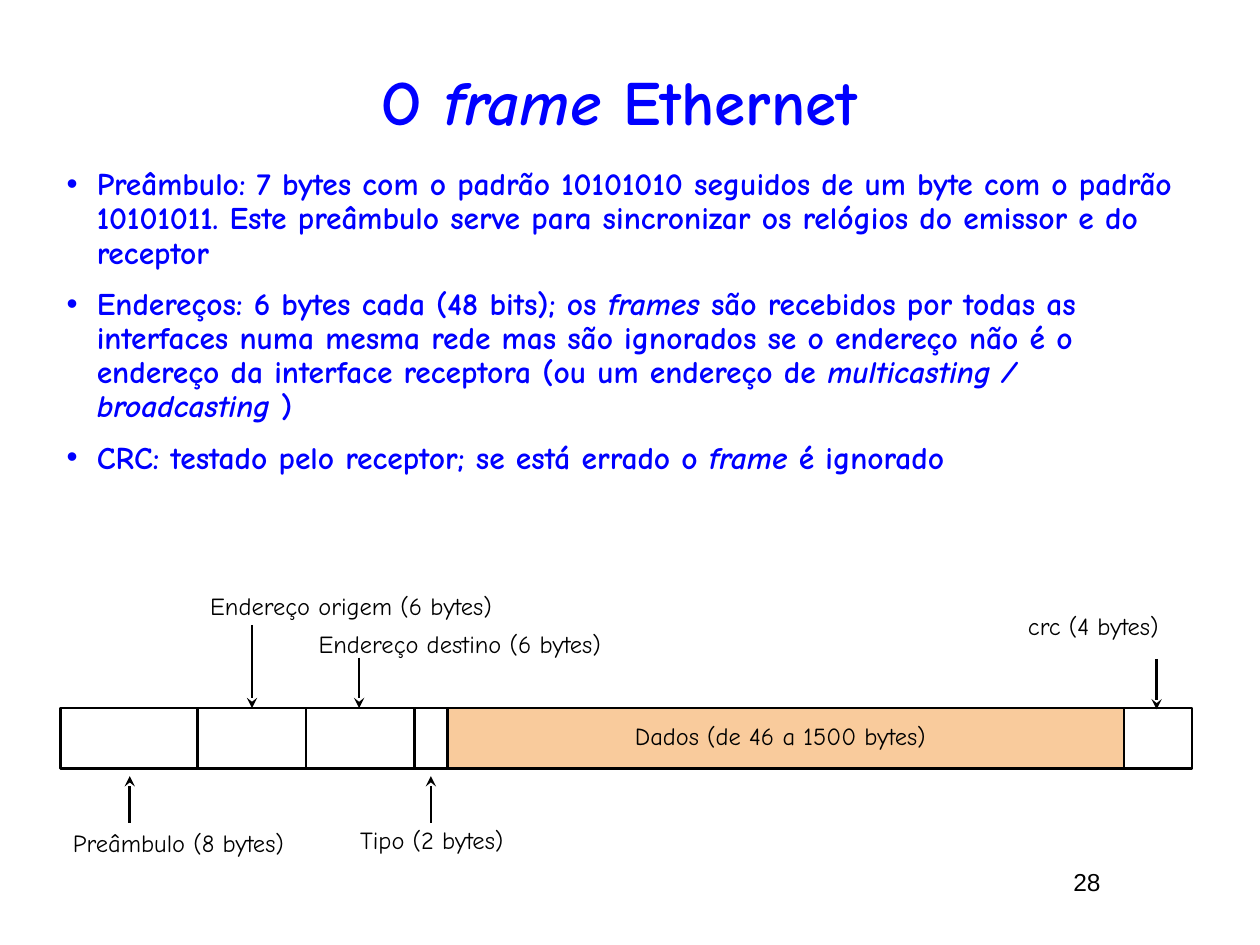
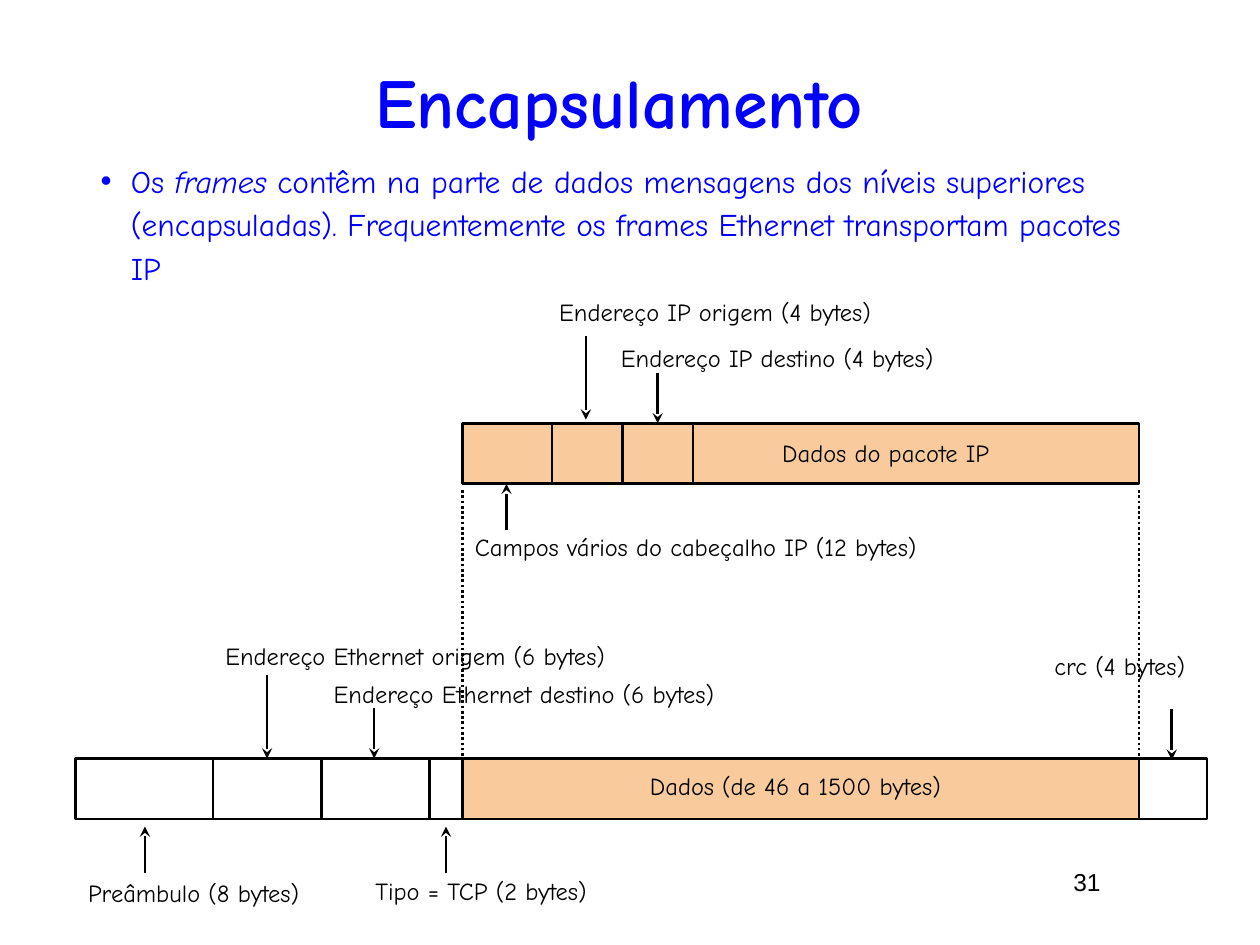
from itertools import accumulate

from lxml import etree
from pptx import Presentation
from pptx.dml.color import RGBColor
from pptx.enum.dml import MSO_LINE
from pptx.enum.shapes import MSO_CONNECTOR, MSO_SHAPE
from pptx.enum.text import MSO_ANCHOR, PP_ALIGN
from pptx.oxml.ns import qn
from pptx.util import Inches, Pt

BLUE = RGBColor(0x00, 0x00, 0xFF)
BLACK = RGBColor(0x00, 0x00, 0x00)
PEACH = RGBColor(0xF9, 0xCB, 0x9C)
RECT, LINE = MSO_SHAPE.RECTANGLE, MSO_CONNECTOR.STRAIGHT
DOT = MSO_LINE.ROUND_DOT
TOP, MID = MSO_ANCHOR.TOP, MSO_ANCHOR.MIDDLE
LEFT, MIDDLE = PP_ALIGN.LEFT, PP_ALIGN.CENTER
FONT, PLAIN = "Comic Neue", "Arial"
PEN = Pt(1.5)
CELL = 0.48  # height of fields and labels

# Field widths of the two packet bars
FRAME = [1.09, 0.86, 0.86, 0.26, 5.37, 0.54]
PACKET = [0.71, 0.56, 0.56, 3.54]
DATA = 4  # index of the data field in the frame


def bullet(par):
    """Hanging bullet in the colour of the text."""
    props = par._p.get_or_add_pPr()
    props.set("marL", str(Inches(0.24)))
    props.set("indent", str(-Inches(0.24)))
    tint = etree.SubElement(props, qn("a:buClr"))
    etree.SubElement(tint, qn("a:srgbClr")).set("val", str(BLUE))
    etree.SubElement(props, qn("a:buFont")).set("typeface", PLAIN)
    etree.SubElement(props, qn("a:buChar")).set("char", "•")


def write(slide, box, *texts, size=14, color=BLACK, font=FONT, bold=False,
          align=LEFT, anchor=TOP, pad=0.05, space=None, gap=0, dots=False):
    """Text box with one paragraph per text; *stars* mark italics."""
    frame = slide.shapes.add_textbox(*map(Inches, box)).text_frame
    frame.word_wrap = True
    frame.vertical_anchor = anchor
    frame.margin_left = frame.margin_right = Inches(0.1)
    frame.margin_top = frame.margin_bottom = Inches(pad)
    for num, text in enumerate(texts):
        par = frame.add_paragraph() if num else frame.paragraphs[0]
        par.alignment = align
        if space:
            par.line_spacing = space
        if num:
            par.space_before = Pt(gap)
        if dots:
            bullet(par)
        for part, words in enumerate(text.split("*")):
            if words:
                run = par.add_run()
                run.text = words
                face = run.font
                face.name, face.size, face.bold = font, Pt(size), bold
                face.italic = part % 2 == 1
                face.color.rgb = color


def label(slide, x, y, width, text):
    write(slide, (x, y, width, CELL), text, pad=0.1)


def link(slide, x, start, end, arrow=True):
    """Upright line: an arrow, or a dotted guide."""
    line = slide.shapes.add_connector(
        LINE, Inches(x), Inches(start), Inches(x), Inches(end))
    line.line.color.rgb = BLACK
    line.line.width = PEN
    if arrow:
        tail = etree.SubElement(line.line._get_or_add_ln(), qn("a:tailEnd"))
        tail.set("type", "stealth")
    else:
        line.line.dash_style = DOT
    etree.SubElement(line._element.spPr, qn("a:effectLst"))


def bar(slide, x, y, widths, filled):
    """Row of adjoining fields; those listed in filled are peach."""
    lefts = accumulate(widths, initial=x)
    for num, (left, width) in enumerate(zip(lefts, widths)):
        field = slide.shapes.add_shape(
            RECT, *map(Inches, (left, y, width, CELL)))
        field.shadow.inherit = False
        field.line.color.rgb = BLACK
        field.line.width = PEN
        if num in filled:
            field.fill.solid()
            field.fill.fore_color.rgb = PEACH
        else:
            field.fill.background()


def header(slide, text, number, size):
    """Title and page number."""
    write(slide, (0.33, 0.42, 9.17, 0.75), text, size=size, color=BLUE,
          bold=True, align=MIDDLE, anchor=MID)
    write(slide, (8.42, 6.83, 1, 0.42), number, font=PLAIN)


def ether(slide, x, y, kind, net="", crc=(7.58, -0.87)):
    """Ethernet frame with its labels and arrows."""
    bar(slide, x, y, FRAME, [DATA])
    notes = [
        (1.09, -1.03, 3.96, f"Endereço {net}origem (6 bytes)"),
        (1.95, -0.73, 3.86, f"Endereço {net}destino (6 bytes)"),
        (4.46, 0, 2.81, "Dados (de 46 a 1500 bytes)"),
        (2.28, 0.83, 2.25, f"{kind} (2 bytes)"),
        (0, 0.85, 2.15, "Preâmbulo (8 bytes)"),
        (*crc, 1.51, "crc (4 bytes)"),
    ]
    for dx, dy, width, text in notes:
        label(slide, x + dx, y + dy, width, text)
    for dx, start, end in [(0.55, 0.91, 0.54), (2.94, 0.91, 0.54),
                           (1.52, -0.66, 0), (2.37, -0.4, 0),
                           (8.7, -0.39, 0.01)]:
        link(slide, x + dx, y + start, y + end)


def packet(slide, x, y):
    """IP packet with its labels and arrows."""
    bar(slide, x, y, PACKET, range(len(PACKET)))
    notes = [
        (0.67, -1.1, 3.96, "Endereço IP origem (4 bytes)"),
        (1.16, -0.74, 3.86, "Endereço IP destino (4 bytes)"),
        (2.44, 0.02, 2.25, "Dados do pacote IP"),
        (0, 0.76, 4.59, "Campos vários do cabeçalho IP (12 bytes)"),
    ]
    for dx, dy, width, text in notes:
        label(slide, x + dx, y + dy, width, text)
    for dx, start, end in [(0.98, -0.69, -0.03), (1.55, -0.4, 0),
                           (0.35, 0.85, 0.48)]:
        link(slide, x + dx, y + start, y + end)


def fields(slide):
    """Slide on the fields of the frame."""
    header(slide, "O *frame* Ethernet", "28", 36)
    write(slide, (0.43, 1.29, 9.13, 2.76),
          "Preâmbulo: 7 bytes com o padrão 10101010 seguidos de um byte com "
          "o padrão 10101011. Este preâmbulo serve para sincronizar os "
          "relógios do emissor e do receptor",
          "Endereços: 6 bytes cada (48 bits); os *frames* são recebidos por "
          "todas as interfaces numa mesma rede mas são ignorados se o "
          "endereço não é o endereço da interface receptora (ou um endereço "
          "de *multicasting / broadcasting* )",
          "CRC: testado pelo receptor; se está errado o *frame* é ignorado",
          size=18, color=BLUE, bold=True, space=0.9, gap=10, dots=True)
    ether(slide, 0.48, 5.62, "Tipo")


def nesting(slide):
    """Slide on a packet carried inside a frame."""
    header(slide, "Encapsulamento", "31", 40)
    write(slide, (0.7, 1.19, 8.43, 2.7),
          "Os *frames* contêm na parte de dados mensagens dos níveis "
          "superiores (encapsuladas). Frequentemente os frames Ethernet "
          "transportam pacotes IP",
          size=18, color=BLUE, space=1.15, dots=True)
    x, y, top = 0.6, 6.02, 3.36
    inner = x + sum(FRAME[:DATA])
    ether(slide, x, y, "Tipo = TCP", "Ethernet ", (7.67, -0.95))
    packet(slide, inner, top)
    # Guides from the packet down to the data field
    for side in (inner, inner + FRAME[DATA]):
        link(slide, side, top + 0.53, y, arrow=False)


def main():
    deck = Presentation()
    deck.slide_width, deck.slide_height = Inches(10), Inches(7.5)
    for build in (fields, nesting):
        build(deck.slides.add_slide(deck.slide_layouts[6]))
    deck.save("out.pptx")


if __name__ == "__main__":
    main()
